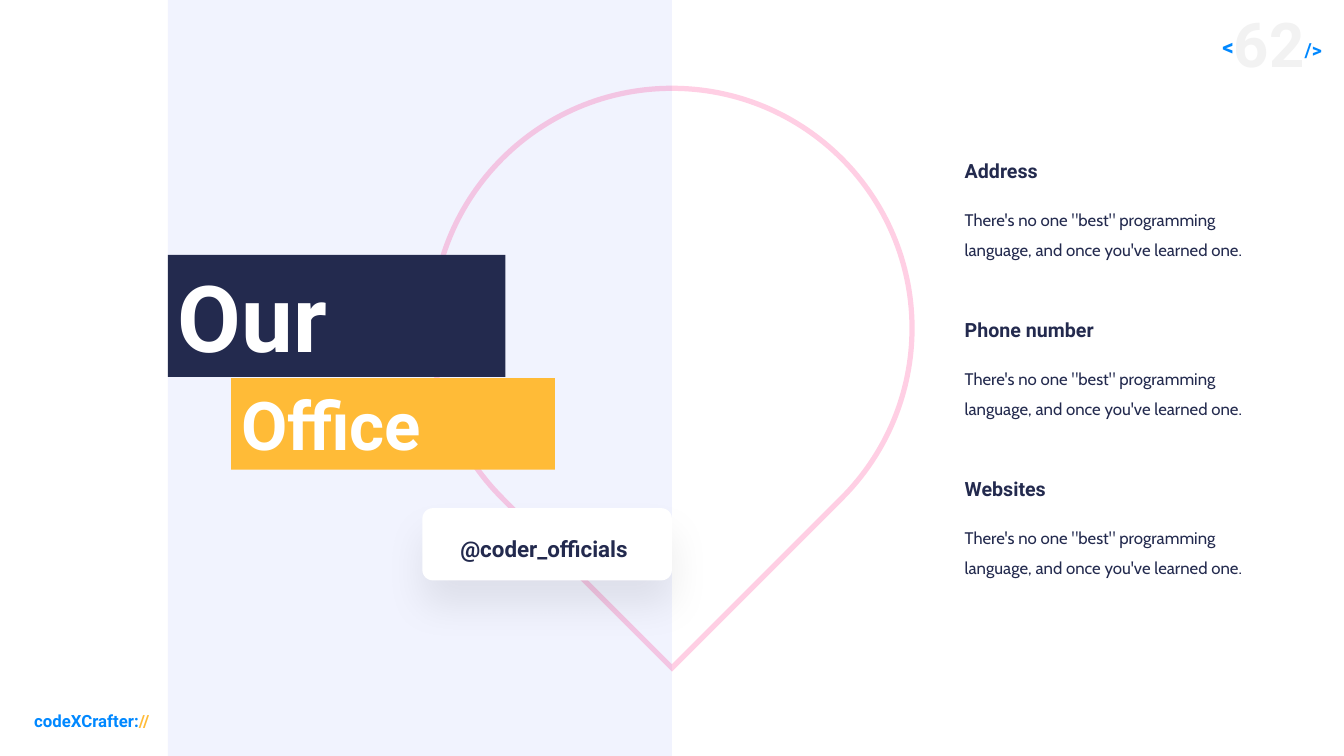
from dataclasses import dataclass
from math import cos, radians, sin, sqrt, tan

from lxml.etree import SubElement
from pptx import Presentation
from pptx.dml.color import RGBColor
from pptx.enum.shapes import MSO_SHAPE
from pptx.enum.text import MSO_ANCHOR, MSO_AUTO_SIZE, PP_ALIGN
from pptx.oxml.ns import qn
from pptx.util import Pt

NAVY, AMBER, BLUE, WHITE = "232A4E", "FFBB37", "0088FF", "FFFFFF"
PALE, GRAY, PINK = "F1F3FE", "F2F2F2", "FF0071"


@dataclass
class Box:
    left: float
    top: float
    width: float
    height: float


@dataclass
class Run:
    text: str
    size: float
    color: str
    font: str = "Roboto"
    bold: bool = True
    lift: int = 0  # superscript, percent


@dataclass
class Banner:
    box: Box
    fill: str
    run: Run


def rgb(code: str) -> RGBColor:
    return RGBColor.from_string(code)


def write(shape, runs: list[Run], align=PP_ALIGN.LEFT, space: float = 1.0,
          anchor=MSO_ANCHOR.TOP, wrap: bool = True) -> None:
    frame = shape.text_frame
    frame.word_wrap = wrap
    frame.auto_size = MSO_AUTO_SIZE.SHAPE_TO_FIT_TEXT
    frame.vertical_anchor = anchor
    para = frame.paragraphs[0]
    para.alignment = align
    para.line_spacing = space
    for item in runs:
        run = para.add_run()
        run.text = item.text
        font = run.font
        font.name, font.size, font.bold = item.font, Pt(item.size), item.bold
        font.color.rgb = rgb(item.color)
        if item.lift:
            run._r.get_or_add_rPr().set("baseline", str(item.lift * 1000))


def place(box: Box) -> tuple:
    return Pt(box.left), Pt(box.top), Pt(box.width), Pt(box.height)


def label(slide, box: Box, runs: list[Run], **style) -> None:
    write(slide.shapes.add_textbox(*place(box)), runs, **style)


def panel(slide, box: Box, fill: str, kind=MSO_SHAPE.RECTANGLE):
    shape = slide.shapes.add_shape(kind, *place(box))
    shape.shadow.inherit = False
    shape.fill.solid()
    shape.fill.fore_color.rgb = rgb(fill)
    shape.line.fill.background()
    return shape


def fade(node, percent: int) -> None:
    SubElement(node, qn("a:alpha")).set("val", str(percent * 1000))


def drop(shape, blur: float, dist: float, percent: int) -> None:
    effects = shape._element.spPr.find(qn("a:effectLst"))
    shade = SubElement(effects, qn("a:outerShdw"), blurRad=str(Pt(blur)),
                       dist=str(Pt(dist)), dir="5400000", algn="t", rotWithShape="0")
    fade(SubElement(shade, qn("a:srgbClr"), val="000000"), percent)


def bend(step, radius: float, start: float, end: float) -> None:
    # Turn a straight step into an arc around (radius, radius)
    a, b = radians(start), radians(end)
    pull = 4 / 3 * tan((b - a) / 4)
    spots = [(cos(a) - pull * sin(a), sin(a) + pull * cos(a)),
             (cos(b) + pull * sin(b), sin(b) - pull * cos(b)),
             (cos(b), sin(b))]
    step.tag = qn("a:cubicBezTo")
    for old in list(step):
        step.remove(old)
    for x, y in spots:
        SubElement(step, qn("a:pt"), x=str(Pt(radius * (1 + x))), y=str(Pt(radius * (1 + y))))


def pin(slide, x: float, y: float, radius: float) -> None:
    # Three quarters of a circle, closed by a right-angled tip
    turns = [45, 0, -90, -180, -225]
    points = [(Pt(x + radius * cos(radians(t))), Pt(y + radius * sin(radians(t))))
              for t in turns]
    outline = slide.shapes.build_freeform(Pt(x), Pt(y + radius * sqrt(2)), scale=1.0)
    outline.add_line_segments(points, close=True)
    shape = outline.convert_to_shape()
    steps = list(shape._element.iter(qn("a:lnTo")))[1:]
    for step, start, end in zip(steps, turns, turns[1:]):
        bend(step, radius, start, end)
    shape.shadow.inherit = False
    shape.fill.background()
    shape.line.width = Pt(3.75)
    shape.line.color.rgb = rgb(PINK)
    line = shape.line._ln
    fade(line.find(qn("a:solidFill")).find(qn("a:srgbClr")), 18)
    SubElement(line, qn("a:miter"), lim="800000")


def main() -> None:
    deck = Presentation()
    deck.slide_width, deck.slide_height = Pt(960), Pt(540)
    slide = deck.slides.add_slide(deck.slide_layouts[6])

    # Page number and footer
    label(slide, Box(768, 0.4, 183.4, 60.5),
          [Run("<", 28, BLUE, lift=30), Run("62", 44, GRAY), Run("/>", 24, BLUE, lift=30)],
          align=PP_ALIGN.RIGHT, anchor=MSO_ANCHOR.MIDDLE)
    label(slide, Box(17.3, 504, 106.6, 21.8),
          [Run("codeXCrafter:", 12, BLUE), Run("//", 12, AMBER)], wrap=False)

    # Backdrop and map pin
    panel(slide, Box(120, 0, 360, 540), PALE)
    pin(slide, 480, 234.6, 171.5)

    # Contact details
    detail = "There's no one \"best\" programming language, and once you've learned one."
    for row, head in enumerate(["Address", "Phone number", "Websites"]):
        top = 105.1 + row * 113.5
        label(slide, Box(682, top, 113, 26.6), [Run(head, 14, NAVY)], space=1.3)
        label(slide, Box(682, top + 34, 219.6, 48.2),
              [Run(detail, 12, NAVY, "Cabin", False)], space=1.5)

    # Title banners
    for item in [
        Banner(Box(120, 182, 241, 87.3), NAVY, Run("Our", 66, WHITE)),
        Banner(Box(165.2, 270, 231.2, 65.4), AMBER, Run("Office", 48, WHITE)),
    ]:
        write(panel(slide, item.box, item.fill), [item.run])

    # Handle card
    card = panel(slide, Box(301.7, 363, 178.3, 51.6), WHITE, MSO_SHAPE.ROUNDED_RECTANGLE)
    card.adjustments[0] = 0.146
    drop(card, 28, 18, 8)
    label(slide, Box(316.8, 374.9, 147.6, 28.1), [Run("@coder_officials ", 16, NAVY)],
          align=PP_ALIGN.CENTER, space=1.2)

    deck.save("out.pptx")


if __name__ == "__main__":
    main()
